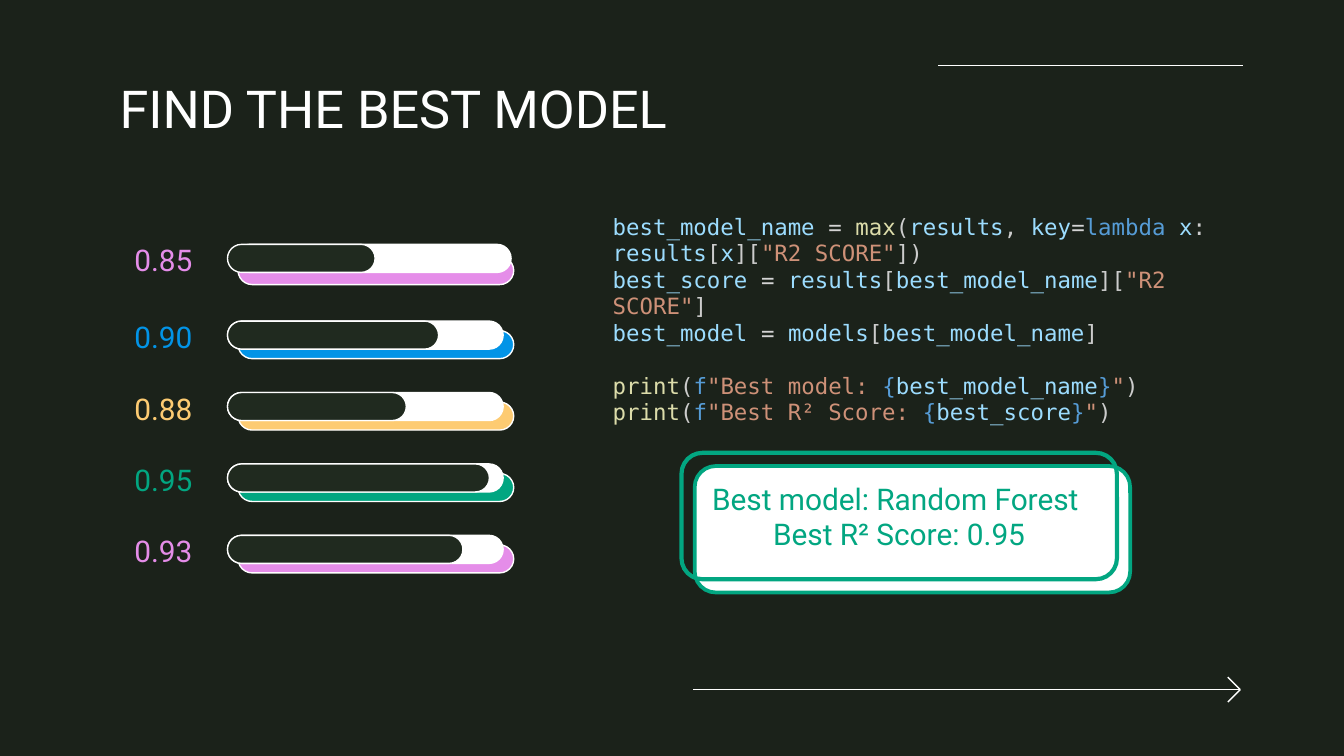
from lxml.etree import SubElement
from pptx import Presentation
from pptx.dml.color import RGBColor
from pptx.enum.shapes import MSO_CONNECTOR, MSO_SHAPE
from pptx.enum.text import MSO_ANCHOR, PP_ALIGN
from pptx.oxml.ns import qn
from pptx.util import Cm, Pt

COLORS = {
    "background": "1B221A",
    "white": "FFFFFF",
    "bar": "202A1F",
    "pink": "E58DE9",
    "blue": "0294E7",
    "yellow": "FDCB72",
    "green": "02A681",
    "variable": "9CDCFE",
    "operator": "D4D4D4",
    "function": "DCDCAA",
    "bracket": "CCCCCC",
    "keyword": "569CD6",
    "string": "CE9178",
}

SCORES = [
    ("0.85", "pink", 2.79),
    ("0.90", "blue", 3.99),
    ("0.88", "yellow", 3.38),
    ("0.95", "green", 4.95),
    ("0.93", "pink", 4.45),
]


def print_call(label, variable):
    return [
        ("print", "function"), ("(", "bracket"), ("f", "keyword"),
        (f'"{label}: ', "string"), ("{", "keyword"), (variable, "variable"),
        ("}", "keyword"), ('"', "string"), (")", "bracket"),
    ]


CODE = [
    [
        ("best_model_name ", "variable"), ("= ", "operator"), ("max", "function"),
        ("(", "bracket"), ("results", "variable"), (", ", "bracket"),
        ("key", "variable"), ("=", "operator"), ("lambda ", "keyword"),
        ("x", "variable"), (": ", "bracket"), ("results", "variable"),
        ("[", "bracket"), ("x", "variable"), ("][", "bracket"),
        ('"R2 SCORE"', "string"), ("])", "bracket"),
    ],
    [
        ("best_score ", "variable"), ("= ", "operator"), ("results", "variable"),
        ("[", "bracket"), ("best_model_name", "variable"), ("][", "bracket"),
        ('"R2 SCORE"', "string"), ("]", "bracket"),
    ],
    [
        ("best_model ", "variable"), ("= ", "operator"), ("models", "variable"),
        ("[", "bracket"), ("best_model_name", "variable"), ("]", "bracket"),
    ],
    print_call("Best model", "best_model_name"),
    print_call("Best R² Score", "best_score"),
]


def color(name):
    return RGBColor.from_string(COLORS[name])


def format_run(run, size, color_name, font="Roboto"):
    run.font.name = font
    run.font.size = Pt(size)
    run.font.color.rgb = color(color_name)


def fill_text(shape, text, size, color_name, alignment):
    text_frame = shape.text_frame
    text_frame.word_wrap = True
    text_frame.vertical_anchor = MSO_ANCHOR.MIDDLE
    text_frame.margin_left = text_frame.margin_right = Cm(0.25)
    text_frame.margin_top = text_frame.margin_bottom = Cm(0.25)
    text_frame.text = text
    for paragraph in text_frame.paragraphs:
        paragraph.alignment = alignment
        for run in paragraph.runs:
            format_run(run, size, color_name)


def add_text(slide, box, text, size, color_name, alignment):
    shape = slide.shapes.add_textbox(*map(Cm, box))
    fill_text(shape, text, size, color_name, alignment)


def add_line(slide, start, end):
    connector = slide.shapes.add_connector(
        MSO_CONNECTOR.STRAIGHT, *map(Cm, start + end))
    connector.line.color.rgb = color("white")
    connector.line.width = Pt(0.75)
    SubElement(connector._element.spPr, qn("a:effectLst"))


def add_rounded(slide, box, fill, line, width, rounding=None):
    shape = slide.shapes.add_shape(MSO_SHAPE.ROUNDED_RECTANGLE, *map(Cm, box))
    shape.shadow.inherit = False
    if rounding is not None:
        shape.adjustments[0] = rounding
    if fill:
        shape.fill.solid()
        shape.fill.fore_color.rgb = color(fill)
    else:
        shape.fill.background()
    shape.line.color.rgb = color(line)
    shape.line.width = Pt(width)
    return shape


def add_arrow(slide, left, top, width, height):
    tip = (left + width, top + height / 2)
    add_line(slide, (left, tip[1]), tip)
    for end_top in (top, top + height):
        add_line(slide, (tip[0] - height / 2, end_top), tip)


def add_score(slide, left, top, score, accent, filled, track_shift=0, drop=0.18):
    height, track_width, bar_left = 0.53, 5.21, left + 2.29
    bars = [
        (bar_left + 0.2, top + drop, track_width, accent),
        (bar_left + track_shift, top, track_width, "white"),
        (bar_left, top, filled, "bar"),
    ]
    for bar_x, bar_y, width, fill in bars:
        add_rounded(slide, (bar_x, bar_y, width, height), fill, "white", 0.75, 0.5)
    add_text(slide, (left, top + 0.13, 2.16, 0.33), score, 16, accent, PP_ALIGN.CENTER)


def add_scores(slide, left, top, pitch):
    add_score(slide, left, top - 1.45, *SCORES[0], track_shift=0.15, drop=0.23)
    for index, row in enumerate(SCORES[1:]):
        add_score(slide, left, top + index * pitch, *row)


def add_code(slide, left, top, width, height):
    shape = slide.shapes.add_textbox(*map(Cm, (left, top, width, height)))
    text_frame = shape.text_frame
    text_frame.word_wrap = True
    for index, tokens in enumerate(CODE):
        paragraph = text_frame.add_paragraph() if index else text_frame.paragraphs[0]
        paragraph.line_spacing = Pt(14.2)
        if index == 3:
            paragraph.space_before = Pt(14.2)
        for text, kind in tokens:
            run = paragraph.add_run()
            run.text = text
            format_run(run, 12, kind, "DejaVu Sans Mono")


def add_result(slide, left, top, width, height):
    offset = 0.25
    add_rounded(slide, (left + offset, top + offset, width, height), "white", "green", 2)
    frame = add_rounded(slide, (left, top, width, height), None, "green", 2.25)
    fill_text(frame, "Best model: Random Forest \nBest R² Score: 0.95",
              16, "green", PP_ALIGN.CENTER)


def main():
    presentation = Presentation()
    presentation.slide_width = Cm(25.4)
    presentation.slide_height = Cm(14.29)
    slide = presentation.slides.add_slide(presentation.slide_layouts[6])
    slide.background.fill.solid()
    slide.background.fill.fore_color.rgb = color("background")

    add_arrow(slide, 13.1, 12.8, 10.34, 0.47)
    add_line(slide, (17.73, 1.24), (23.5, 1.24))
    add_text(slide, (2.01, 1.24, 21.41, 1.6), "FIND THE BEST MODEL",
             28, "white", PP_ALIGN.LEFT)
    add_scores(slide, 2.01, 6.07, 1.35)
    add_result(slide, 12.88, 8.56, 8.23, 2.39)
    add_code(slide, 11.33, 3.91, 12.67, 3.76)

    presentation.save("out.pptx")


if __name__ == "__main__":
    main()
